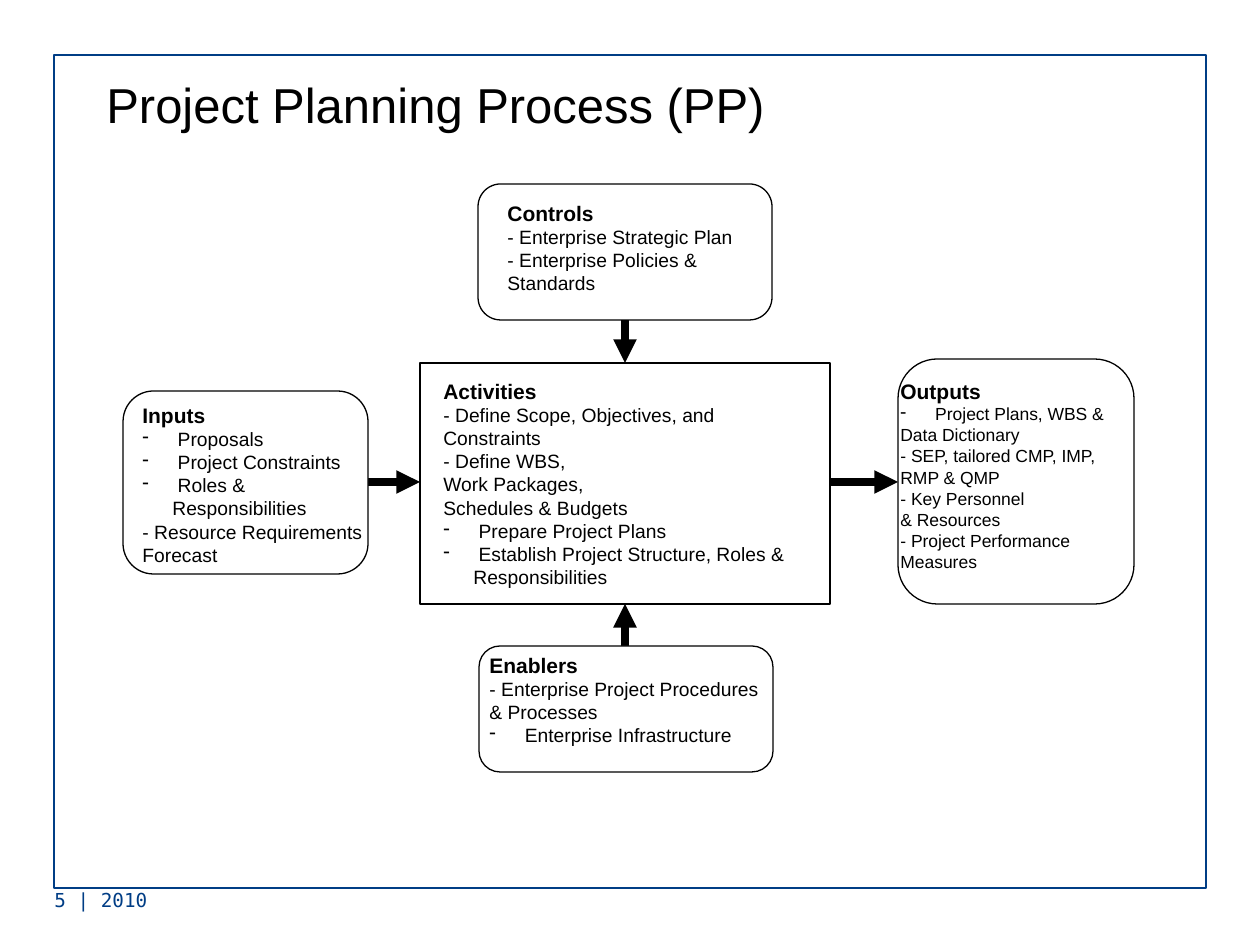
"""Builds the Project Planning Process slide: a central activity box with four linked boxes."""
from lxml.etree import SubElement
from pptx import Presentation
from pptx.dml.color import RGBColor
from pptx.enum.shapes import MSO_CONNECTOR, MSO_SHAPE as SHAPE
from pptx.enum.text import MSO_ANCHOR as ANCHOR
from pptx.oxml.ns import qn
from pptx.util import Emu, Pt

PX = 914400 / 126
HANGING = 30
COLORS = {"ink": "000000", "paper": "FFFFFF", "navy": "003D85"}

ROUNDED, SQUARE = SHAPE.FLOWCHART_ALTERNATE_PROCESS, SHAPE.RECTANGLE

STAGES = [
    ("Controls", ROUNDED, (478, 184, 294, 136), (495, 194, 260, 107), 11, [
        "- Enterprise Strategic Plan",
        "- Enterprise Policies & Standards"]),
    ("Enablers", ROUNDED, (479, 646, 294, 126), (477, 646, 310, 131), 11, [
        "- Enterprise Project Procedures",
        "& Processes",
        "* Enterprise Infrastructure"]),
    ("Activities", SQUARE, (420, 363, 410, 241), (431, 372, 388, 223), 11, [
        "- Define Scope, Objectives, and Constraints",
        "- Define WBS,",
        "Work Packages,",
        "Schedules & Budgets",
        "* Prepare Project Plans",
        "* Establish Project Structure, Roles & Responsibilities"]),
    ("Outputs", ROUNDED, (898, 359, 236, 245), (888, 372, 260, 207), 10, [
        "* Project Plans, WBS &",
        "Data Dictionary",
        "- SEP, tailored CMP, IMP, RMP & QMP",
        "- Key Personnel",
        "& Resources",
        "- Project Performance Measures"]),
    ("Inputs", ROUNDED, (123, 391, 245, 183), (130, 396, 262, 176), 11, [
        "* Proposals",
        "* Project Constraints",
        "* Roles & Responsibilities",
        "- Resource Requirements Forecast"]),
]

ARROWS = [
    ((625, 320), (625, 363)),
    ((625, 646), (625, 604)),
    ((830, 482), (898, 482)),
    ((368, 482), (420, 482)),
]


def px(*lengths):
    """Turn picture pixels into EMU."""
    return [Emu(round(length * PX)) for length in lengths]


def rgb(name):
    """Look up a palette colour."""
    return RGBColor.from_string(COLORS[name])


def add_outline(slide, kind, box, line, fill=None):
    """Add a thin-lined shape, filled or hollow."""
    outline = slide.shapes.add_shape(kind, *px(*box))
    outline.shadow.inherit = False
    if fill:
        outline.fill.solid()
        outline.fill.fore_color.rgb = rgb(fill)
    else:
        outline.fill.background()
    outline.line.color.rgb = rgb(line)
    outline.line.width = Pt(0.74)


def set_bullet(paragraph):
    """Give a paragraph a hanging dash."""
    indent = px(HANGING)[0]
    props = paragraph._p.get_or_add_pPr()
    props.set("marL", str(indent))
    props.set("indent", str(-indent))
    SubElement(props, qn("a:buFontTx"))
    SubElement(props, qn("a:buChar"), char="-")


def style(paragraph, size, color="ink", font="Arial", bold=False):
    """Set the font of a whole paragraph."""
    paragraph.font.size = Pt(size)
    paragraph.font.name = font
    paragraph.font.bold = bold
    paragraph.font.color.rgb = rgb(color)


def add_frame(slide, box, anchor=ANCHOR.TOP):
    """Add a wrapping text box and return its text frame."""
    frame = slide.shapes.add_textbox(*px(*box)).text_frame
    frame.word_wrap = True
    frame.vertical_anchor = anchor
    return frame


def add_label(slide, box, text, size, anchor=ANCHOR.TOP, **look):
    """Add a single line of text."""
    label = add_frame(slide, box, anchor).paragraphs[0]
    label.text = text
    style(label, size, **look)


def add_stage(slide, heading, kind, box, text_box, size, items):
    """Add a process box with its heading and items."""
    add_outline(slide, kind, box, "ink", "paper")
    frame = add_frame(slide, text_box)
    frame.paragraphs[0].text = heading
    style(frame.paragraphs[0], 12, bold=True)
    for item in items:
        entry = frame.add_paragraph()
        entry.text = item.removeprefix("*")
        style(entry, size)
        if item.startswith("*"):
            set_bullet(entry)


def add_arrow(slide, start, end):
    """Add a thick straight arrow."""
    arrow = slide.shapes.add_connector(MSO_CONNECTOR.STRAIGHT, *px(*start, *end))
    arrow.line.color.rgb = rgb("ink")
    arrow.line.width = Pt(4.5)
    SubElement(arrow.line._get_or_add_ln(), qn("a:tailEnd"), type="triangle")
    SubElement(arrow._element.spPr, qn("a:effectLst"))


def main():
    """Build and save the slide."""
    deck = Presentation()
    deck.slide_width, deck.slide_height = px(1260, 945)
    slide = deck.slides.add_slide(deck.slide_layouts[6])
    add_outline(slide, SQUARE, (54, 55, 1152, 833), "navy")
    add_label(slide, (94, 62, 1134, 84), "Project Planning Process (PP)", 28, ANCHOR.MIDDLE)
    for start, end in ARROWS:
        add_arrow(slide, start, end)
    for stage in STAGES:
        add_stage(slide, *stage)
    add_label(slide, (42, 882, 294, 63), "5 | 2010", 11, color="navy", font="DejaVu Sans Mono")
    deck.save("out.pptx")


main()
